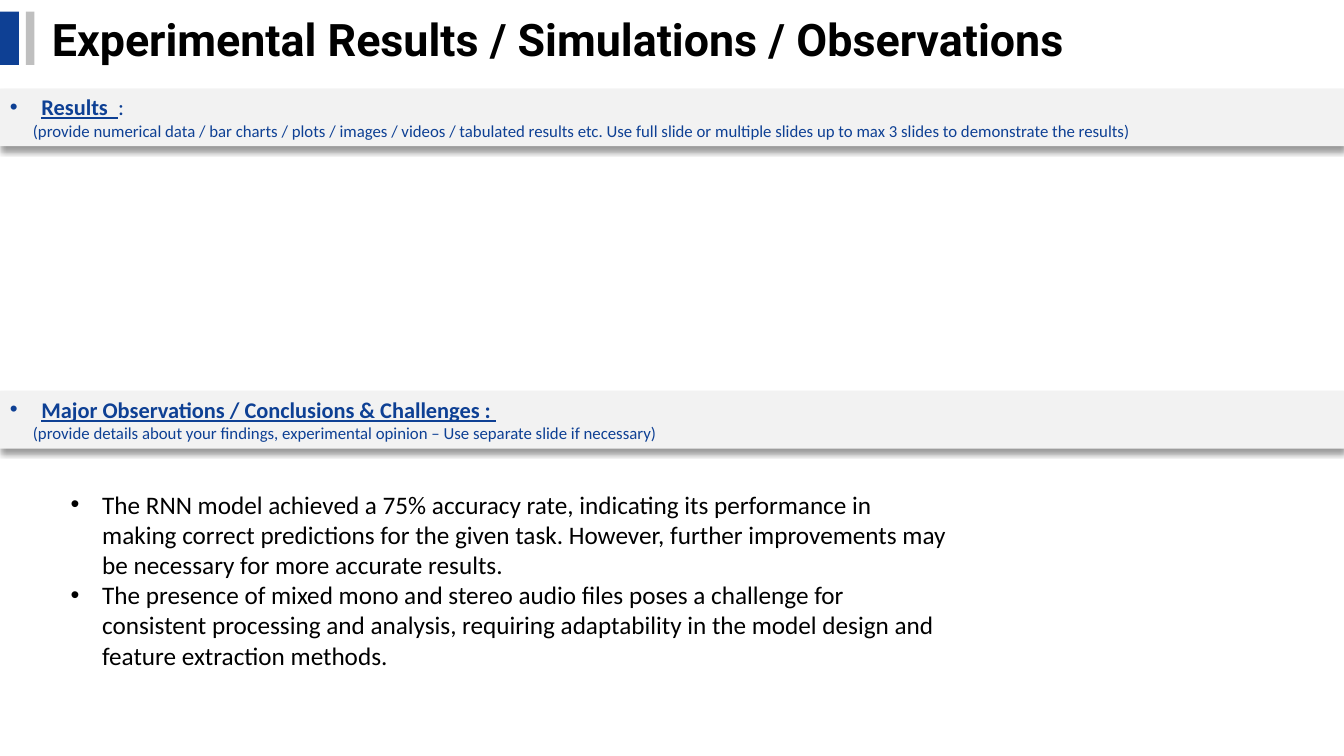
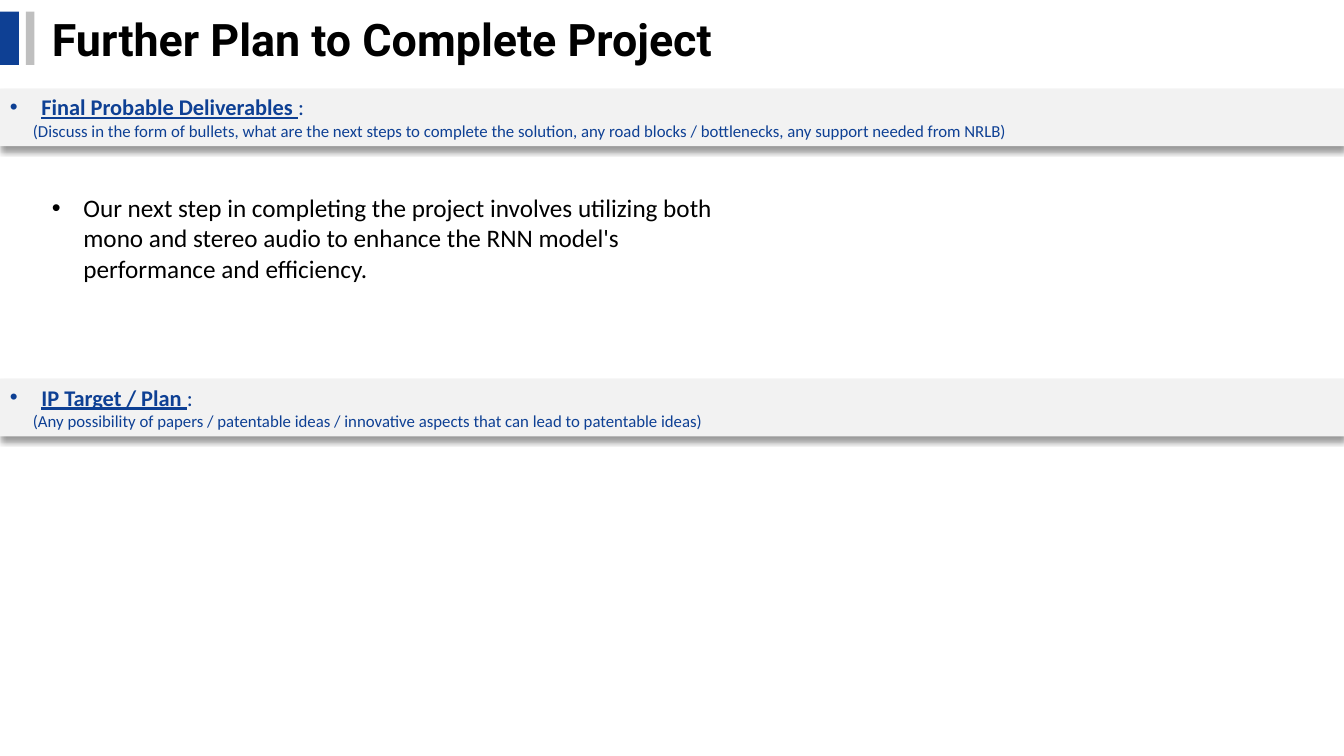
from lxml.etree import SubElement
from pptx import Presentation
from pptx.dml.color import RGBColor
from pptx.enum.shapes import MSO_SHAPE
from pptx.enum.text import MSO_ANCHOR, PP_ALIGN
from pptx.oxml.ns import qn
from pptx.util import Pt

COLORS = {
    "accent": "0E4094",
    "grey": "BFBFBF",
    "band": "F2F2F2",
    "text": "000000",
    "background": "FFFFFF",
}
SLIDE_WIDTH, SLIDE_HEIGHT = 960, 540
BAND_HEIGHT = 41.2
BULLET_INDENT = 22.5
HINT_INDENT = 16.4

SLIDES = [
    {
        "title": "Experimental Results / Simulations / Observations",
        "bands": [
            (63.3, "Results  ", ": ",
             "(provide numerical data / bar charts / plots / images / videos / tabulated results etc. "
             "Use full slide or multiple slides up to max 3 slides to demonstrate the results)"),
            (279.2, "Major Observations / Conclusions & Challenges : ", "",
             "(provide details about your findings, experimental opinion – "
             "Use separate slide if necessary)"),
        ],
        "points_box": (43.4, 345.6, 640, 181.4),
        "points": [
            "The RNN model achieved a 75% accuracy rate, indicating its performance in making correct "
            "predictions for the given task. However, further improvements may be necessary for more "
            "accurate results.",
            "The presence of mixed mono and stereo audio files poses a challenge for consistent "
            "processing and analysis, requiring adaptability in the model design and feature "
            "extraction methods.",
        ],
    },
    {
        "title": "Further Plan to Complete Project",
        "bands": [
            (63.3, "Final Probable Deliverables ", ": ",
             "(Discuss in the form of bullets, what are the next steps to complete the solution, "
             "any road blocks / bottlenecks, any support needed from NRLB)"),
            (270.5, "IP Target / Plan ", ": ",
             "(Any possibility of papers / patentable ideas / innovative aspects that can lead to "
             "patentable ideas)"),
        ],
        "points_box": (30, 133.9, 501, 72.7),
        "points": [
            "Our next step in completing the project involves utilizing both mono and stereo audio "
            "to enhance the RNN model's performance and efficiency.",
        ],
    },
]


def rgb(name):
    """Return the named palette colour."""
    return RGBColor.from_string(COLORS[name])


def add_block(slide, box, color):
    """Add a plain filled rectangle."""
    block = slide.shapes.add_shape(MSO_SHAPE.RECTANGLE, *map(Pt, box))
    block.fill.solid()
    block.fill.fore_color.rgb = rgb(color)
    block.line.fill.background()
    block.shadow.inherit = False
    return block


def add_shadow(block):
    """Give a block a soft shadow straight below it."""
    effects = block._element.spPr.find(qn("a:effectLst"))
    shadow = SubElement(effects, qn("a:outerShdw"), blurRad=str(Pt(4)), dist=str(Pt(3)),
                        dir="5400000", algn="t", rotWithShape="0")
    tone = SubElement(shadow, qn("a:srgbClr"), val=COLORS["text"])
    SubElement(tone, qn("a:alpha"), val="40000")


def add_run(paragraph, text, size, color, font="Calibri", bold=False, underline=False):
    """Append one formatted run."""
    run = paragraph.add_run()
    run.text = text
    run.font.size = Pt(size)
    run.font.name = font
    run.font.bold = bold
    run.font.underline = underline
    run.font.color.rgb = rgb(color)


def indent(paragraph, margin, bullet=False):
    """Indent a paragraph, with a hanging bullet if asked."""
    properties = paragraph._p.get_or_add_pPr()
    properties.set("marL", str(Pt(margin)))
    properties.set("indent", str(-Pt(margin) if bullet else 0))
    if bullet:
        SubElement(properties, qn("a:buFont"), typeface="Arial")
        SubElement(properties, qn("a:buChar"), char="•")


def add_text_frame(slide, box, anchor=MSO_ANCHOR.TOP):
    """Add a wrapping text box and return its frame."""
    frame = slide.shapes.add_textbox(*map(Pt, box)).text_frame
    frame.word_wrap = True
    frame.vertical_anchor = anchor
    return frame


def add_header(slide, box, title):
    """Add the two accent bars and the slide title."""
    left, top, width, height = box
    add_block(slide, (left, top + 4, 13.5, height - 8), "accent")
    add_block(slide, (left + 18.6, top + 4, 6, height - 8), "grey")
    frame = add_text_frame(slide, (left + 30, top, width - 30, height), MSO_ANCHOR.MIDDLE)
    add_run(frame.paragraphs[0], title, 32, "text", font="Roboto", bold=True)


def add_band(slide, box, heading, ending, hint):
    """Add a section band with its heading and hint."""
    band = add_block(slide, box, "band")
    add_shadow(band)
    frame = band.text_frame
    frame.word_wrap = True
    frame.vertical_anchor = MSO_ANCHOR.TOP
    heading_line, hint_line = frame.paragraphs[0], frame.add_paragraph()
    heading_line.alignment = hint_line.alignment = PP_ALIGN.JUSTIFY
    indent(heading_line, BULLET_INDENT, bullet=True)
    add_run(heading_line, heading, 16, "accent", bold=True, underline=True)
    if ending:
        add_run(heading_line, ending, 16, "accent")
    indent(hint_line, HINT_INDENT)
    add_run(hint_line, hint, 12, "accent")


def add_points(slide, box, points):
    """Add the bulleted body text."""
    frame = add_text_frame(slide, box)
    for number, point in enumerate(points):
        paragraph = frame.add_paragraph() if number else frame.paragraphs[0]
        indent(paragraph, BULLET_INDENT, bullet=True)
        add_run(paragraph, point, 18, "text")


def add_section_slide(deck, content):
    """Build one slide from header, bands and points."""
    slide = deck.slides.add_slide(deck.slide_layouts[6])
    slide.background.fill.solid()
    slide.background.fill.fore_color.rgb = rgb("background")
    add_header(slide, (0, 4.3, 770, 46), content["title"])
    for top, heading, ending, hint in content["bands"]:
        add_band(slide, (0, top, SLIDE_WIDTH, BAND_HEIGHT), heading, ending, hint)
    add_points(slide, content["points_box"], content["points"])


def main():
    """Build and save the deck."""
    deck = Presentation()
    deck.slide_width, deck.slide_height = Pt(SLIDE_WIDTH), Pt(SLIDE_HEIGHT)
    for content in SLIDES:
        add_section_slide(deck, content)
    deck.save("out.pptx")


if __name__ == "__main__":
    main()
